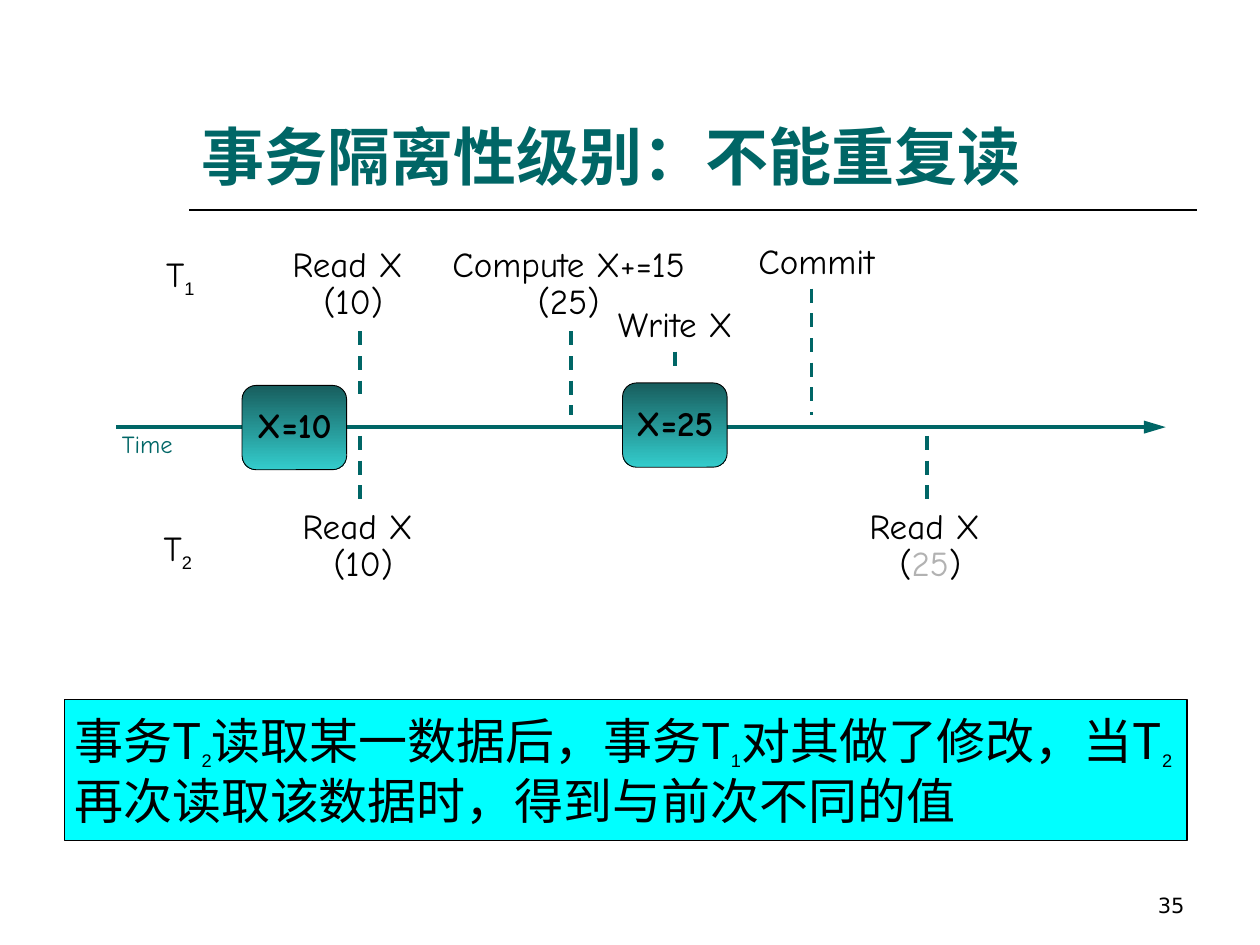
"""Build a slide on non-repeatable reads between two transactions."""
from lxml import etree
from pptx import Presentation
from pptx.dml.color import RGBColor
from pptx.enum.dml import MSO_LINE
from pptx.enum.shapes import MSO_CONNECTOR, MSO_SHAPE
from pptx.enum.text import MSO_ANCHOR, MSO_AUTO_SIZE, PP_ALIGN
from pptx.oxml.ns import qn
from pptx.util import Cm, Pt

STRAIGHT = MSO_CONNECTOR.STRAIGHT
DASH = MSO_LINE.DASH
RECT, ROUNDED = MSO_SHAPE.RECTANGLE, MSO_SHAPE.ROUNDED_RECTANGLE
MIDDLE, BOTTOM = MSO_ANCHOR.MIDDLE, MSO_ANCHOR.BOTTOM
CENTER, LEFT, RIGHT, JUSTIFY = PP_ALIGN.CENTER, PP_ALIGN.LEFT, PP_ALIGN.RIGHT, PP_ALIGN.JUSTIFY
FIT, FIXED = MSO_AUTO_SIZE.SHAPE_TO_FIT_TEXT, MSO_AUTO_SIZE.NONE
rgb = RGBColor.from_string
TEAL, BLACK = "006666", "000000"

LABEL = {"name": "Comic Neue", "size": Pt(20), "bold": False}
SUBSCRIPT = {"name": "Arial", "size": Pt(18)}
GREY = {"color": "B2B2B2"}
BREAK = "\v"


def write(shape, paragraphs, style, align=CENTER, anchor=MIDDLE, spacing=0.9, wrap=False, fit=FIT):
    frame = shape.text_frame
    for key, value in {"word_wrap": wrap, "auto_size": fit, "vertical_anchor": anchor}.items():
        setattr(frame, key, value)
    for index, pieces in enumerate(paragraphs):
        paragraph = frame.add_paragraph() if index else frame.paragraphs[0]
        paragraph.alignment, paragraph.line_spacing = align, spacing
        for piece in pieces:
            if piece == BREAK:
                paragraph.add_line_break()
                continue
            text, extra = (piece, {}) if isinstance(piece, str) else piece
            run = paragraph.add_run()
            run.text = text
            values = {"color": BLACK, **style, **extra}
            run.font.color.rgb = rgb(values.pop("color"))
            for key, value in values.items():
                setattr(run.font, key, value)
            if extra is SUBSCRIPT:
                run.font._element.set("baseline", "-25000")


def draw_line(x1, y1, x2, y2, color, width):
    connector = slide.shapes.add_connector(STRAIGHT, Cm(x1), Cm(y1), Cm(x2), Cm(y2))
    connector.line.color.rgb = rgb(color)
    connector.line.width = Pt(width)
    etree.SubElement(connector._element.spPr, qn("a:effectLst"))
    return connector


prs = Presentation()
prs.slide_width, prs.slide_height = Cm(25.4), Cm(19.05)
slide = prs.slides.add_slide(prs.slide_layouts[5])
shapes = slide.shapes

title = shapes.title
title.left, title.top, title.width, title.height = Cm(3.81), Cm(0.84), Cm(20.32), Cm(3.18)
write(title, [["事务隔离性级别：不能重复读"]],
      {"name": "Arial", "size": Pt(36), "bold": True, "color": TEAL},
      align=LEFT, anchor=BOTTOM, spacing=1.0, wrap=True, fit=FIXED)
draw_line(3.81, 4.24, 24.13, 4.24, BLACK, 1)

page_number = shapes.add_textbox(Cm(18.21), Cm(17.35), Cm(5.92), Cm(1.27))
write(page_number, [["35"]], {"name": "DejaVu Sans", "size": Pt(12)},
      align=RIGHT, anchor=BOTTOM, spacing=1.0, wrap=True, fit=FIXED)

for number, left, top in [("1", 2.9, 5), ("2", 2.85, 10.52)]:
    transaction = shapes.add_textbox(Cm(left), Cm(top), Cm(1.47), Cm(1.09))
    write(transaction, [["T", (number, SUBSCRIPT)]], LABEL)

timeline = draw_line(2.34, 8.61, 23.5, 8.61, TEAL, 2.5)
etree.SubElement(timeline.line._get_or_add_ln(), qn("a:tailEnd"), type="triangle", len="lg")
time_label = shapes.add_textbox(Cm(2.01), Cm(8.59), Cm(1.92), Cm(0.79))
write(time_label, [["Time"]], {**LABEL, "size": Pt(14), "color": TEAL})

events = [
    ([["Read X ", BREAK, "(10)"]], (5.84, 10.13, 2.97, 1.78), (7.26, 8.79, 10.26)),
    ([["Read X ", BREAK, "(10)"]], (5.64, 4.85, 2.97, 1.78), (7.26, 6.68, 7.95)),
    ([["Compute X+=15"], ["(25)"]], (8.86, 4.85, 5.21, 1.78), (11.51, 6.68, 8.36)),
    ([["Write X"]], (12.19, 6.07, 2.84, 1.02), (13.61, 7.09, 7.52)),
    ([["Commit"]], (15.04, 4.8, 2.84, 1.02), (16.36, 5.82, 8.36)),
    ([["Read X ", BREAK, "(", ("25", GREY), ")"]], (17.27, 10.13, 2.97, 1.78), (18.69, 8.79, 10.26)),
]
for wording, place, (x, start, end) in events:
    event = shapes.add_textbox(*map(Cm, place))
    write(event, wording, LABEL)
    marker = draw_line(x, start, x, end, TEAL, 2)
    marker.line.dash_style = DASH
    if wording == [["Write X"]]:
        marker.begin_connect(event, 2)

for value, left, top in [("X=25", 12.55, 7.72), ("X=10", 4.88, 7.77)]:
    state = shapes.add_shape(ROUNDED, Cm(left), Cm(top), Cm(2.11), Cm(1.7))
    state.shadow.inherit = False
    state.fill.gradient()
    state.fill.gradient_angle = 270
    for stop, color in zip(state.fill.gradient_stops, ["185E5E", "33CCCC"]):
        stop.color.rgb = rgb(color)
    state.line.color.rgb = rgb(BLACK)
    state.line.width = Pt(0.5)
    write(state, [[value]], {**LABEL, "bold": True}, fit=FIXED)

summary = shapes.add_shape(RECT, Cm(1.3), Cm(14.1), Cm(22.63), Cm(2.84))
summary.shadow.inherit = False
summary.fill.solid()
summary.fill.fore_color.rgb = rgb("00FFFF")
summary.line.color.rgb = rgb(BLACK)
summary.line.width = Pt(0.75)
margins = {"margin_left": 0.2, "margin_top": 0.2, "margin_right": 0.3, "margin_bottom": 0.2}
for side, length in margins.items():
    setattr(summary.text_frame, side, Cm(length))
write(summary, [["事务T", ("2", SUBSCRIPT), "读取某一数据后，事务T", ("1", SUBSCRIPT),
                 "对其做了修改，当T", ("2", SUBSCRIPT), "再次读取该数据时，得到与前次不同的值"]],
      {"name": "Noto Sans CJK JP", "size": Pt(28)}, align=JUSTIFY, spacing=1.0, wrap=True)

prs.save("out.pptx")
